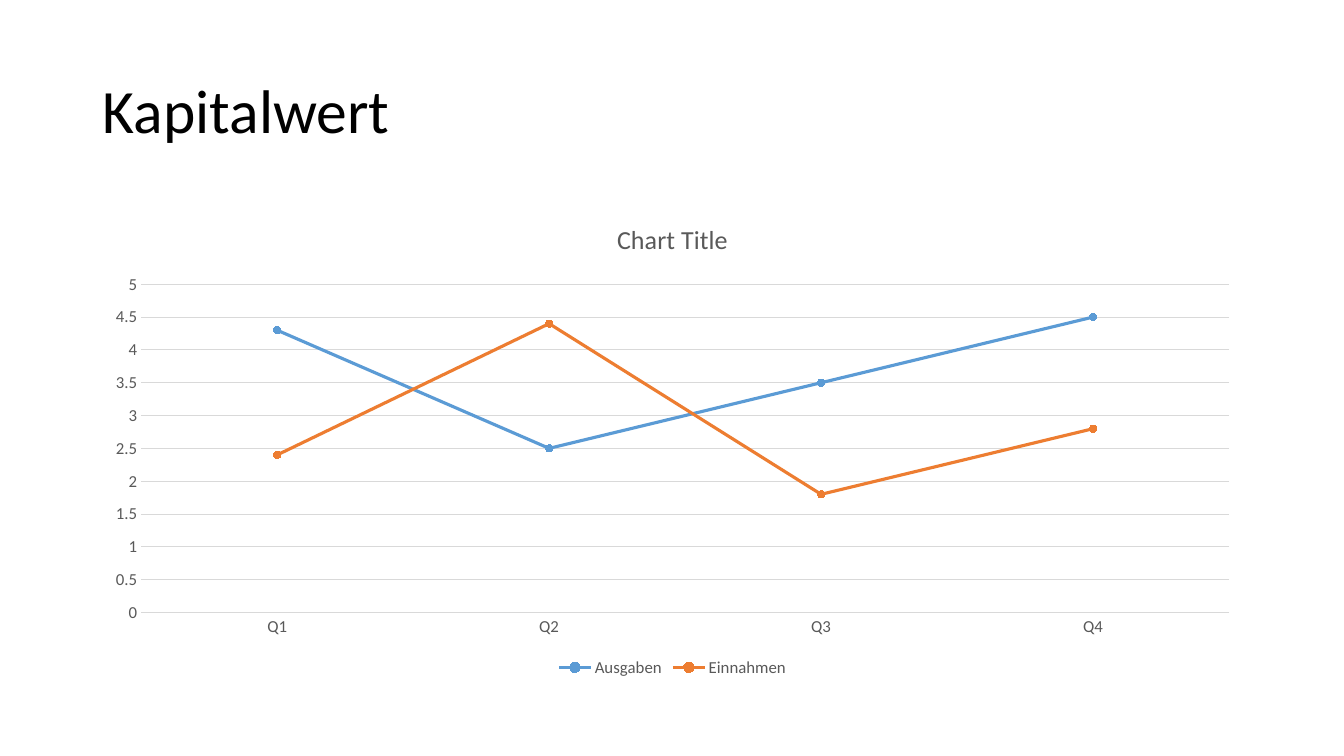
from pptx import Presentation
from pptx.chart.data import CategoryChartData
from pptx.dml.color import RGBColor
from pptx.enum.chart import XL_CHART_TYPE as Kind
from pptx.enum.chart import XL_LEGEND_POSITION as Place
from pptx.enum.chart import XL_MARKER_STYLE as Mark
from pptx.enum.chart import XL_TICK_MARK as Tick
from pptx.enum.text import MSO_ANCHOR, PP_ALIGN
from pptx.util import Inches, Pt

BLACK = RGBColor(0x00, 0x00, 0x00)
GREY = RGBColor(0x59, 0x59, 0x59)
PALE = RGBColor(0xD9, 0xD9, 0xD9)
BLUE = RGBColor(0x5B, 0x9B, 0xD5)
ORANGE = RGBColor(0xED, 0x7D, 0x31)

LEFT, WIDTH = Inches(0.92), Inches(11.5)
TERMS = ["Q1", "Q2", "Q3", "Q4"]
FLOWS = [
    ("Ausgaben", [4.3, 2.5, 3.5, 4.5], BLUE),
    ("Einnahmen", [2.4, 4.4, 1.8, 2.8], ORANGE),
]


class Page:
    face = "Calibri"

    def __init__(self, deck):
        self.slide = deck.slides.add_slide(deck.slide_layouts[5])

    def style(self, font, size, color):
        font.name = self.face
        font.size = Pt(size)
        font.bold = False
        font.color.rgb = color

    def stroke(self, line, color, width):
        line.color.rgb = color
        line.width = Pt(width)

    def title(self, text, top, height):
        box = self.slide.shapes.title
        box.left, box.top, box.width, box.height = LEFT, top, WIDTH, height
        frame = box.text_frame
        frame.text = text
        frame.word_wrap = True
        frame.vertical_anchor = MSO_ANCHOR.MIDDLE
        line = frame.paragraphs[0]
        line.alignment = PP_ALIGN.LEFT
        line.line_spacing = 0.9
        self.style(line.runs[0].font, 44, BLACK)

    def chart(self, head, terms, flows, top, height):
        data = CategoryChartData()
        data.categories = terms
        for name, values, _ in flows:
            data.add_series(name, values)
        chart = self.slide.shapes.add_chart(
            Kind.LINE_MARKERS, LEFT, top, WIDTH, height, data
        ).chart
        self.style(chart.font, 12, GREY)
        self.head(chart, head)
        self.axes(chart)
        self.legend(chart)
        for series, (_, _, color) in zip(chart.plots[0].series, flows):
            self.trace(series, color)

    def head(self, chart, text):
        chart.has_title = True
        frame = chart.chart_title.text_frame
        frame.text = text
        self.style(frame.paragraphs[0].runs[0].font, 18.6, GREY)
        chart.chart_title.include_in_layout = False

    def axes(self, chart):
        base, scale = chart.category_axis, chart.value_axis
        for axis in (base, scale):
            axis.major_tick_mark = axis.minor_tick_mark = Tick.NONE
            self.style(axis.tick_labels.font, 12, GREY)
        self.stroke(base.format.line, PALE, 0.75)
        scale.format.line.fill.background()
        scale.minimum_scale, scale.maximum_scale = 0, 5
        scale.major_unit = 0.5
        scale.has_major_gridlines = True
        self.stroke(scale.major_gridlines.format.line, PALE, 0.75)

    def legend(self, chart):
        chart.has_legend = True
        chart.legend.position = Place.BOTTOM
        chart.legend.include_in_layout = False
        self.style(chart.legend.font, 12, GREY)

    def trace(self, series, color):
        series.smooth = False
        self.stroke(series.format.line, color, 2.25)
        mark = series.marker
        mark.style = Mark.CIRCLE
        mark.size = 5
        mark.format.fill.solid()
        mark.format.fill.fore_color.rgb = color
        self.stroke(mark.format.line, color, 0.75)


def main():
    deck = Presentation()
    deck.slide_width, deck.slide_height = Inches(13.33), Inches(7.5)
    page = Page(deck)
    page.title("Kapitalwert", Inches(0.4), Inches(1.45))
    page.chart("Chart Title", TERMS, FLOWS, Inches(2), Inches(4.76))
    deck.save("out.pptx")


if __name__ == "__main__":
    main()
